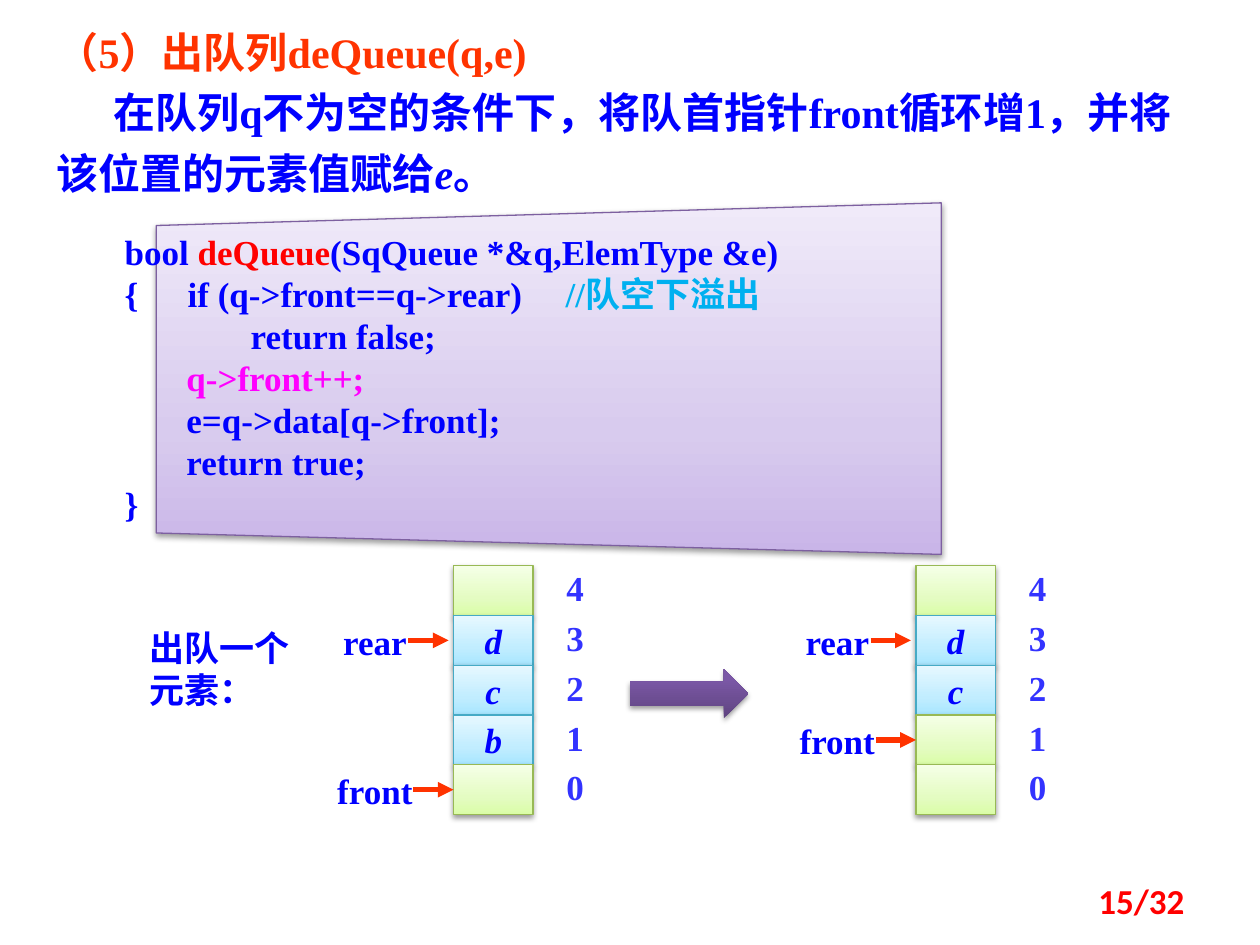
import copy
import pptx
import pptx.util
import pptx.dml.color
import pptx.enum.shapes
import pptx.enum.text
import pptx.oxml.ns
from lxml import etree

Inches, Pt = pptx.util.Inches, pptx.util.Pt
Kind = pptx.enum.shapes.MSO_SHAPE
Align = pptx.enum.text.PP_ALIGN
Anchor = pptx.enum.text.MSO_ANCHOR
qn = pptx.oxml.ns.qn

HUE = {
    "blue": "0000FF", "index": "3333FF", "red": "FF0000", "orange": "FF3300",
    "pink": "FF00FF", "sky": "00B0F0", "black": "000000",
    "lime": "98B955", "teal": "46AAC5", "plum": "7D60A0",
}
GRAD = {
    "free": ((0, "DAFDA7"), (0.35, "E4FCC2"), (1, "F5FFE7")),
    "used": ((0, "A7E6FF"), (0.35, "C1EDFF"), (1, "E7F8FF")),
    "panel": ((0, "C9B5E8"), (0.35, "D8CBEE"), (1, "F0EAF9")),
    "arrow": ((0, "5F4480"), (0.8, "7B58A6"), (1, "7C57A8")),
}
BASE = {"name": "Times New Roman", "size": Pt(20), "bold": True, "italic": False}
TOP, STEP, WIDE = 4.49, 0.395, 0.63


def rgb(hue):
    """Return the colour object of a hex string."""
    return pptx.dml.color.RGBColor.from_string(hue)


def add_run(para, text, hue="blue", **fmt):
    """Add a run with its font values."""
    run = para.add_run()
    run.text = text
    for name, value in {**BASE, **fmt}.items():
        setattr(run.font, name, value)
    run.font.color.rgb = rgb(HUE[hue])
    east = etree.SubElement(run.font._element, qn("a:ea"))
    east.set("typeface", "Noto Sans CJK SC")


def set_para(para, left=0, first=0, tabs=(), **fmt):
    """Set a paragraph's indents, tab stops and format values."""
    for name, value in fmt.items():
        setattr(para, name, value)
    props = para._p.get_or_add_pPr()
    props.set("marL", str(Inches(left)))
    props.set("indent", str(Inches(first)))
    etree.SubElement(props, qn("a:buNone"))
    if tabs:
        stops = etree.SubElement(props, qn("a:tabLst"))
        for tab in tabs:
            etree.SubElement(stops, qn("a:tab"), pos=str(Inches(tab)), algn="l")


def place(shape, left, top, width, height):
    """Move a placeholder and size it."""
    box = {"left": left, "top": top, "width": width, "height": height}
    for name, value in box.items():
        setattr(shape, name, Inches(value))
    frame = shape.text_frame
    frame.auto_size = pptx.enum.text.MSO_AUTO_SIZE.NONE
    frame.vertical_anchor = Anchor.TOP
    return frame.paragraphs[0]


def add_text(shapes, box, text="", hue="blue", align=Align.CENTER, **fmt):
    """Add a wrapped text box and return its frame."""
    frame = shapes.add_textbox(*map(Inches, box)).text_frame
    frame.word_wrap = True
    if text:
        frame.paragraphs[0].alignment = align
        add_run(frame.paragraphs[0], text, hue, **fmt)
    return frame


def paint(shape, grad, line=None):
    """Give a shape its gradient, outline and soft shadow."""
    shape.fill.gradient()
    shape.fill.gradient_angle = 90
    stops = shape._element.spPr.find(".//" + qn("a:gsLst"))
    stops.insert(1, copy.deepcopy(stops[0]))
    for stop, (pos, hue) in zip(shape.fill.gradient_stops, GRAD[grad]):
        stop.position = pos
        stop.color.rgb = rgb(hue)
    if line:
        shape.line.color.rgb = rgb(HUE[line])
        shape.line.width = Pt(0.75)
    else:
        shape.line.fill.background()
    shape.shadow.inherit = False
    effect = shape._element.spPr.find(qn("a:effectLst"))
    shade = etree.SubElement(effect, qn("a:outerShdw"), blurRad=str(Pt(3.1)),
                             dist=str(Pt(1.6)), dir="5400000", rotWithShape="0")
    hue = etree.SubElement(shade, qn("a:srgbClr"), val=HUE["black"])
    etree.SubElement(hue, qn("a:alpha"), val="38000")


def add_cell(shapes, left, top, text):
    """Add one cell of a queue."""
    cell = shapes.add_shape(Kind.RECTANGLE, *map(Inches, (left, top, WIDE, STEP)))
    paint(cell, *(("used", "teal") if text else ("free", "lime")))
    if text:
        frame = cell.text_frame
        frame.word_wrap = False
        frame.vertical_anchor = Anchor.MIDDLE
        frame.paragraphs[0].alignment = Align.CENTER
        add_run(frame.paragraphs[0], text, italic=True)
    return cell


def add_mark(shapes, cell, left, top, name, gap):
    """Add a named pointer to a cell."""
    add_text(shapes, (left - 1.1, top - 0.01, 0.95, 0.43), name)
    mid = top + STEP / 2
    ends = left - gap - 0.32, mid, left - gap, mid
    line = shapes.add_connector(pptx.enum.shapes.MSO_CONNECTOR.STRAIGHT,
                                *map(Inches, ends))
    line.line.color.rgb = rgb(HUE["orange"])
    line.line.width = Pt(3)
    etree.SubElement(line.line._get_or_add_ln(), qn("a:tailEnd"), type="triangle")
    etree.SubElement(line._element.spPr, qn("a:effectLst"))
    if not gap:
        line.end_connect(cell, 1)


def add_queue(slide, left, items, marks):
    """Add a queue with its indexes and pointers."""
    shapes = slide.shapes.add_group_shape().shapes
    last = len(items) - 1
    for row, text in enumerate(items):
        top = TOP + row * STEP
        cell = add_cell(shapes, left, top, text)
        add_text(shapes, (left + 0.73, top - 0.04, 0.47, 0.43), str(last - row), "index")
        if row in marks:
            add_mark(shapes, cell, left, top, *marks[row])


def add_code(slide):
    """Add the slanted panel and the code on it."""
    maker = slide.shapes.build_freeform(Inches(1.24), Inches(1.79), scale=1.0)
    edge = ((7.47, 1.61), (7.47, 4.4), (1.24, 4.23))
    maker.add_line_segments([(Inches(x), Inches(y)) for x, y in edge])
    paint(maker.convert_to_shape(), "panel", "plum")
    frame = add_text(slide.shapes, (0.83, 1.71, 6.6, 2.59))
    for side, value in {"left": 0.16, "top": 0.12, "right": 0.16, "bottom": 0.12}.items():
        setattr(frame, "margin_" + side, Inches(value))
    lines = (
        (0, (("bool ", "blue"), ("deQueue", "red"), ("(SqQueue *&q,ElemType &e)", "blue"))),
        (0, (("{\tif (q->front==q->rear)\t", "blue"), ("//队空下溢出", "sky"))),
        (1, (("return false;", "blue"),)),
        (0.49, (("q->front++;", "pink"),)),
        (0.49, (("e=q->data[q->front];", "blue"),)),
        (0.49, (("return true;", "blue"),)),
        (0, (("}", "blue"),)),
    )
    for row, (left, runs) in enumerate(lines):
        para = frame.add_paragraph() if row else frame.paragraphs[0]
        set_para(para, left, tabs=(0.53, 3.87) if row == 1 else (), line_spacing=Pt(24))
        for text, hue in runs:
            add_run(para, text, hue)


def add_head(slide):
    """Fill the title and the body."""
    fmt = {"line_spacing": Pt(34.5), "space_before": Pt(0), "alignment": Align.LEFT}
    title, body = slide.placeholders
    para = place(title, 0.35, 0.08, 9.06, 0.58)
    set_para(para, **fmt)
    add_run(para, "（5）出队列deQueue(q,e)", "orange", size=Pt(24))
    para = place(body, 0.35, 0.56, 9.06, 1.08)
    set_para(para, first=0.45, **fmt)
    text = "在队列q不为空的条件下，将队首指针front循环增1，并将该位置的元素值赋给"
    for part, slant in ((text, False), ("e", True), ("。", False)):
        add_run(para, part, size=Pt(24), italic=slant)


def main():
    """Build the slide and save it."""
    deck = pptx.Presentation()
    deck.slide_width, deck.slide_height = Inches(10), Inches(7.5)
    slide = deck.slides.add_slide(deck.slide_layouts[1])
    add_head(slide)
    add_code(slide)
    rear, front = ("rear", 0.04), ("front", 0)
    add_queue(slide, 3.6, ("", "d", "c", "b", ""), {1: rear, 4: front})
    note = add_text(slide.shapes, (1.09, 4.92, 1.41, 0.77), "出队一个元素：",
                    align=Align.LEFT, name="Noto Sans CJK SC")
    note.paragraphs[0].line_spacing = Pt(24)
    arrow = slide.shapes.add_shape(Kind.RIGHT_ARROW, *map(Inches, (5, 5.31, 0.94, 0.39)))
    paint(arrow, "arrow")
    add_queue(slide, 7.27, ("", "d", "c", "", ""), {1: rear, 3: front})
    page = add_text(slide.shapes, (7.17, 6.95, 2.33, 0.4), "15/32", "red",
                    Align.RIGHT, name="Calibri")
    page.vertical_anchor = Anchor.MIDDLE
    deck.save("out.pptx")


if __name__ == "__main__":
    main()
